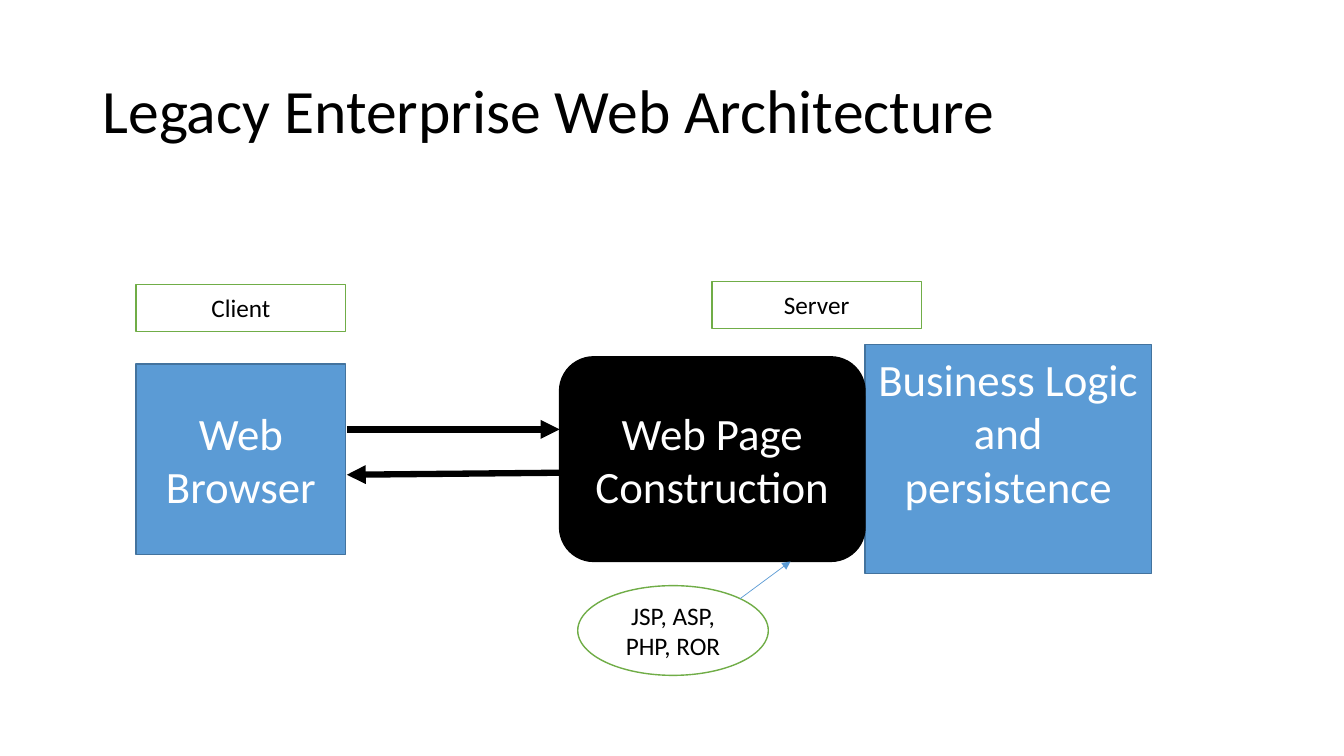
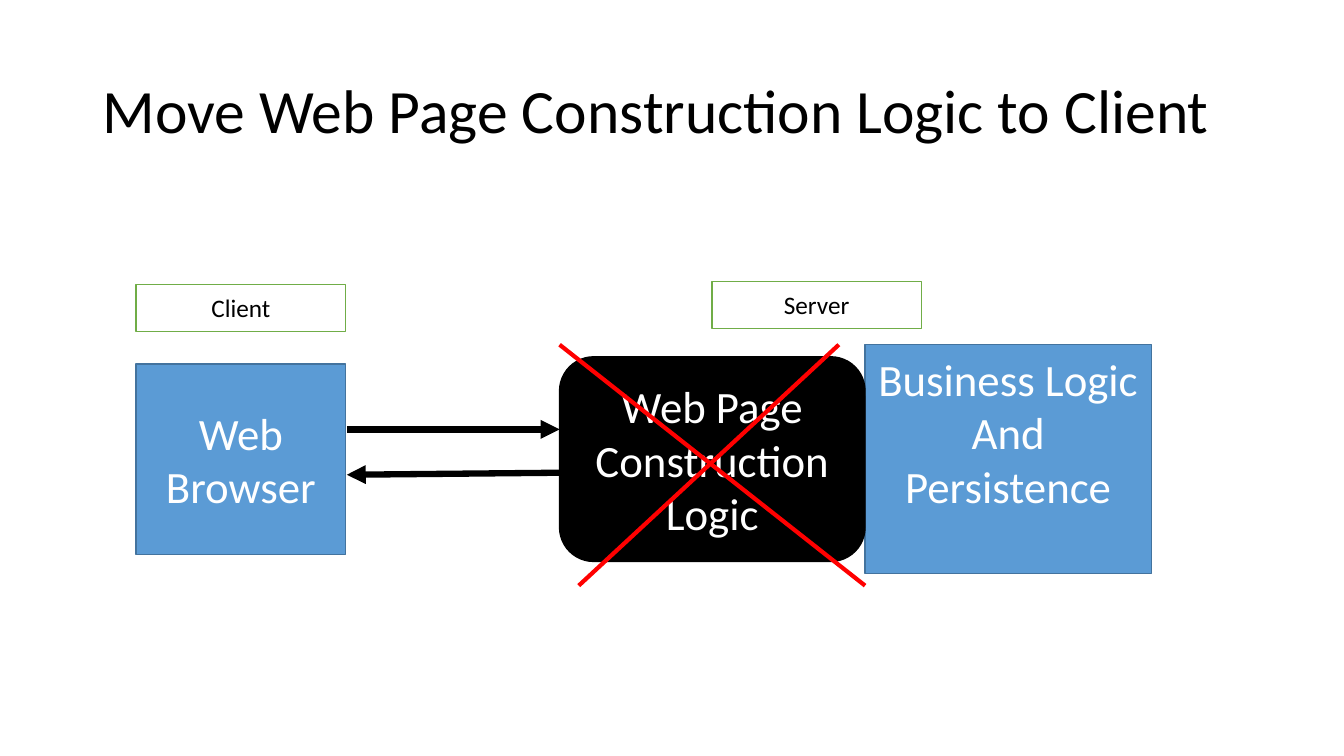
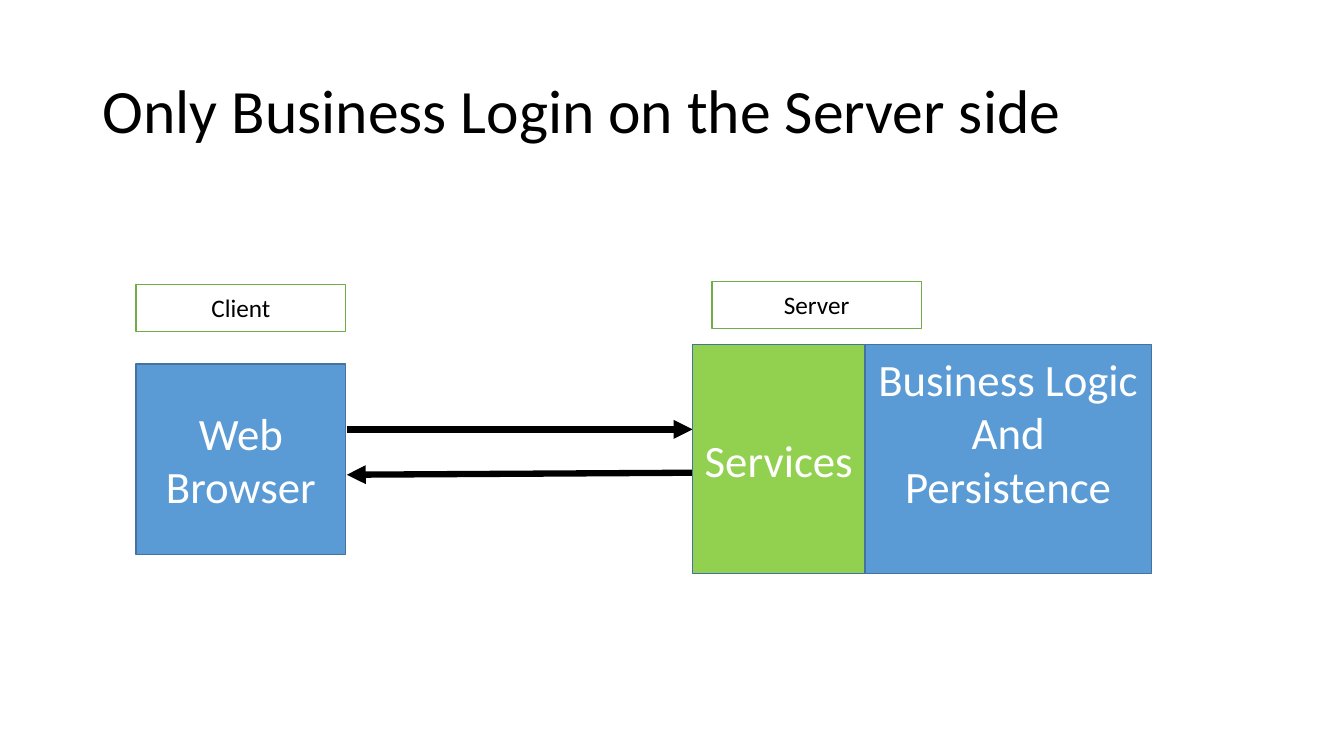
"""Builds three slides on moving web page construction from server to client."""
from lxml.etree import SubElement
from pptx import Presentation
from pptx.dml.color import RGBColor
from pptx.enum.shapes import MSO_CONNECTOR, MSO_SHAPE
from pptx.enum.text import MSO_ANCHOR, PP_ALIGN
from pptx.oxml.ns import qn
from pptx.util import Inches, Pt

COLORS = {
    "black": "000000",
    "white": "FFFFFF",
    "blue": "5B9BD5",
    "edge": "43739E",
    "green": "70AD47",
    "lime": "92D050",
    "red": "FF0000",
}
FONT = "Calibri"
CLIENT_RIGHT = 3.44
SERVER_TOP, SERVER_HEIGHT = 3.42, 2.27


def rgb(name):
    return RGBColor.from_string(COLORS[name])


def write(tf, text, size=32, color="white", align=PP_ALIGN.CENTER, spacing=None):
    tf.word_wrap = True
    tf.vertical_anchor = MSO_ANCHOR.MIDDLE
    p = tf.paragraphs[0]
    p.alignment = align
    p.line_spacing = spacing
    r = p.add_run()
    r.text = text
    r.font.name = FONT
    r.font.size = Pt(size)
    r.font.color.rgb = rgb(color)


class Deck:
    def __init__(self):
        self.prs = Presentation()
        self.prs.slide_width = Inches(13.33)
        self.prs.slide_height = Inches(7.5)
        self.s = None

    def slide(self, title):
        self.s = self.prs.slides.add_slide(self.prs.slide_layouts[6])
        box = self.s.shapes.add_textbox(*map(Inches, (0.92, 0.4, 11.5, 1.45)))
        write(box.text_frame, title, size=44, color="black",
              align=PP_ALIGN.LEFT, spacing=0.9)

    def box(self, text, at, fill="blue", line="edge",
            kind=MSO_SHAPE.RECTANGLE, bottom=0.05, **fmt):
        sp = self.s.shapes.add_shape(kind, *map(Inches, at))
        sp.shadow.inherit = False
        sp.fill.solid()
        sp.fill.fore_color.rgb = rgb(fill)
        sp.line.color.rgb = rgb(line)
        sp.line.width = Pt(1)
        sp.text_frame.margin_bottom = Inches(bottom)
        write(sp.text_frame, text, **fmt)

    def label(self, text, at, kind=MSO_SHAPE.RECTANGLE):
        self.box(text, at, fill="white", line="green", kind=kind,
                 size=18, color="black")

    def line(self, start, end, color="black", width=4.5, arrow=True):
        c = self.s.shapes.add_connector(
            MSO_CONNECTOR.STRAIGHT, *map(Inches, start + end))
        c.line.color.rgb = rgb(color)
        c.line.width = Pt(width)
        if arrow:
            SubElement(c.line._get_or_add_ln(), qn("a:tailEnd"), type="triangle")
        SubElement(c._element.spPr, qn("a:effectLst"))

    def architecture(self, title, logic, server_left):
        self.slide(title)
        self.box("Web Browser", (1.35, 3.61, 2.08, 1.89))
        self.box(logic, (8.58, SERVER_TOP, 2.84, SERVER_HEIGHT), bottom=0.59)
        self.line((CLIENT_RIGHT, 4.26), (server_left, 4.26))
        self.line((server_left, 4.69), (CLIENT_RIGHT, 4.71))
        self.label("Client", (1.35, 2.82, 2.08, 0.47))
        self.label("Server", (7.06, 2.79, 2.08, 0.47))

    def page_builder(self, text):
        self.box(text, (5.55, 3.54, 3.03, 2.03), fill="black", line="black",
                 kind=MSO_SHAPE.ROUNDED_RECTANGLE)


def main():
    deck = Deck()

    deck.architecture("Legacy Enterprise Web Architecture",
                      "Business Logic and persistence", 5.55)
    deck.page_builder("Web Page Construction")
    deck.label("JSP, ASP, PHP, ROR", (5.73, 5.81, 1.89, 0.89), MSO_SHAPE.OVAL)
    deck.line((7.34, 5.94), (7.84, 5.57), color="blue", width=0.5)

    deck.architecture("Move Web Page Construction Logic to Client",
                      "Business Logic And Persistence", 5.55)
    deck.page_builder("Web Page Construction Logic")
    for left, right in ((8.32, 5.74), (5.55, 8.58)):
        deck.line((left, SERVER_TOP), (right, 5.81), color="red", width=3, arrow=False)

    deck.architecture("Only Business Login on the Server side",
                      "Business Logic And Persistence", 6.87)
    deck.box("Services", (6.87, SERVER_TOP, 1.71, SERVER_HEIGHT), fill="lime")

    deck.prs.save("out.pptx")


if __name__ == "__main__":
    main()
